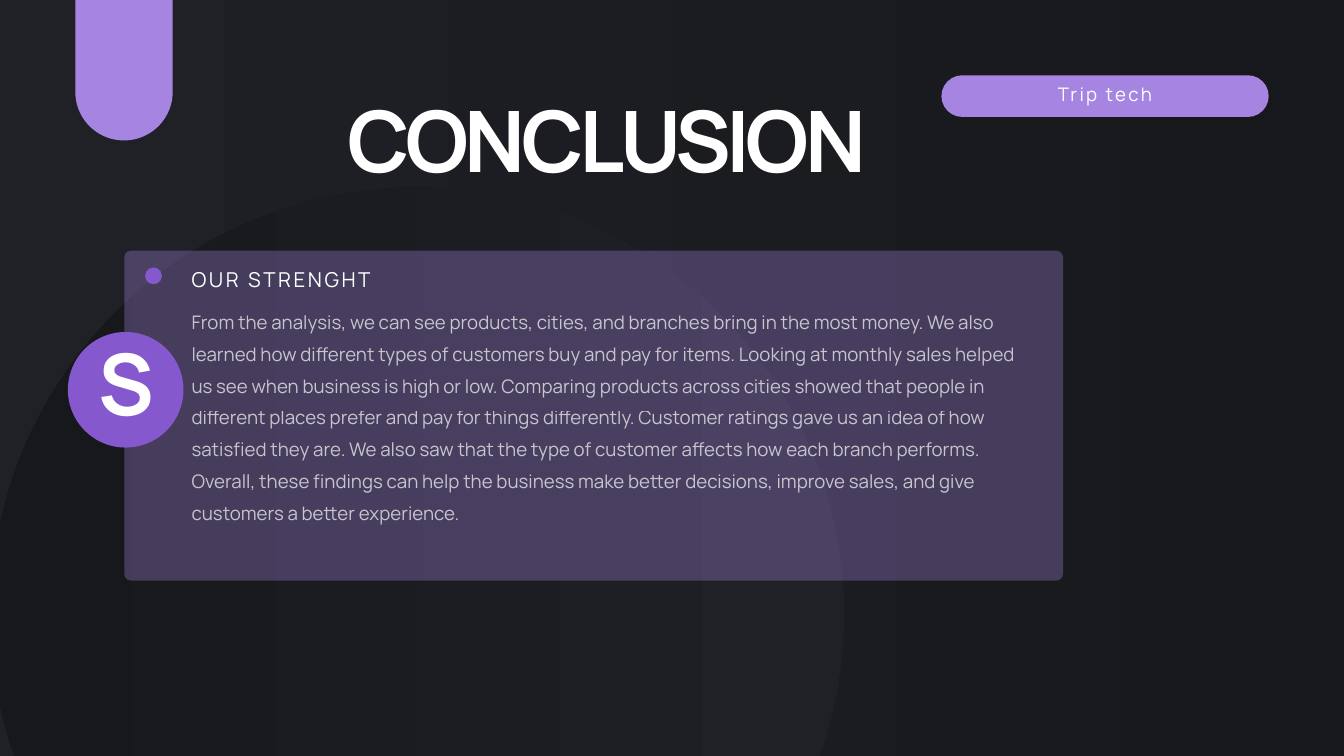
from pptx import Presentation
from pptx.dml.color import RGBColor
from pptx.enum.shapes import MSO_SHAPE
from pptx.enum.text import MSO_ANCHOR, MSO_AUTO_SIZE, PP_ALIGN
from pptx.oxml.ns import qn
from pptx.util import Inches, Pt
from lxml.etree import SubElement


def tint(code):
    return RGBColor.from_string(code)


class Deck:
    font = "Manrope"
    white = "FFFFFF"
    dark, slate = "17181B", "202127"
    lilac, violet = "A685E2", "8558CE"

    def __init__(self, slide):
        self.slide = slide

    def blend(self, fill, first, last):
        fill.gradient()
        fill.gradient_angle = 0
        for stop, code in zip(fill.gradient_stops, (first, last)):
            stop.color.rgb = tint(code)

    def fade(self, fill, alpha):
        """Set the opacity, in percent, of a solid fill."""
        color = fill._xPr.find(qn("a:solidFill"))[0]
        SubElement(color, qn("a:alpha"), val=str(alpha * 1000))

    def shape(self, kind, box, code=None, alpha=None, round=None):
        item = self.slide.shapes.add_shape(kind, *map(Inches, box))
        item.shadow.inherit = False
        item.line.fill.background()
        if round is not None:
            item.adjustments[0] = round
        if code:
            item.fill.solid()
            item.fill.fore_color.rgb = tint(code)
        if alpha:
            self.fade(item.fill, alpha)
        return item

    def bar(self, box, code, round=0.5, alpha=None):
        return self.shape(MSO_SHAPE.ROUNDED_RECTANGLE, box, code, alpha, round)

    def disc(self, left, top, size, code=None):
        return self.shape(MSO_SHAPE.OVAL, (left, top, size, size), code)

    def text(self, words, box, size, lead, gap=0, bold=False,
             align=PP_ALIGN.LEFT, alpha=None, holder=None):
        box = [Inches(n) for n in box]
        item = holder or self.slide.shapes.add_textbox(*box)
        item.left, item.top, item.width, item.height = box
        frame = item.text_frame
        frame.text = words
        frame.word_wrap = True
        frame.auto_size = MSO_AUTO_SIZE.NONE
        frame.vertical_anchor = MSO_ANCHOR.TOP
        frame.margin_left = frame.margin_right = 0
        frame.margin_top = frame.margin_bottom = 0

        para = frame.paragraphs[0]
        para.alignment = align
        para.line_spacing = Pt(lead)
        para.space_before = Pt(0)
        if holder:
            # Drop the bullet and bring the placeholder in front
            props = para._p.get_or_add_pPr()
            props.set("marL", "0")
            props.set("indent", "0")
            SubElement(props, qn("a:buNone"))
            self.slide.shapes._spTree.append(item._element)
        font = para.font
        font.name, font.size, font.bold = self.font, Pt(size), bold
        font.color.rgb = tint(self.white)
        if alpha:
            self.fade(font.fill, alpha)
        if gap:
            font._rPr.set("spc", str(round(gap * 100)))

    def big(self, words, box, holder=None):
        self.text(words, box, 90.8, 100.8, -4.6, True, PP_ALIGN.CENTER,
                  holder=holder)


def main():
    show = Presentation()
    show.slide_width, show.slide_height = Inches(20), Inches(11.25)
    slide = show.slides.add_slide(show.slide_layouts[1])
    title, body = slide.placeholders
    deck = Deck(slide)

    # Backdrop
    deck.blend(slide.background.fill, deck.slate, deck.dark)
    deck.bar((1.12, -1.29, 1.45, 3.38), deck.lilac)
    deck.bar((14.01, 1.12, 4.87, 0.62), deck.lilac)
    globe = deck.disc(-0.15, 2.79, 12.71)
    deck.blend(globe.fill, deck.dark, deck.slate)

    # Panel with its dot and badge
    deck.bar((1.85, 3.73, 13.97, 4.91), deck.lilac, round=0.02, alpha=32)
    deck.disc(2.16, 3.98, 0.25, deck.violet)
    deck.disc(1.01, 4.94, 1.72, deck.violet)

    # Title and body
    deck.big("CONCLUSION", (4.54, 1.42, 8.98, 1.52), title)
    deck.text(
        "From the analysis, we can see products, cities, and branches bring in "
        "the most money. We also learned how different types of customers buy "
        "and pay for items. Looking at monthly sales helped us see when "
        "business is high or low. Comparing products across cities showed that "
        "people in different places prefer and pay for things differently. "
        "Customer ratings gave us an idea of how satisfied they are. We also "
        "saw that the type of customer affects how each branch performs. "
        "Overall, these findings can help the business make better decisions, "
        "improve sales, and give customers a better experience.",
        (2.85, 4.49, 12.37, 3.75), 20, 34, alpha=70, holder=body)

    # Labels
    deck.text("Trip tech", (14.01, 1.18, 4.87, 0.37), 20, 28, 2.5,
              align=PP_ALIGN.CENTER)
    deck.text("OUR STRENGHT", (2.85, 3.91, 3.81, 0.43), 22, 30.8, 2.8)
    deck.big("S", (1.23, 5.03, 1.29, 1.52))

    show.save("out.pptx")


if __name__ == "__main__":
    main()
